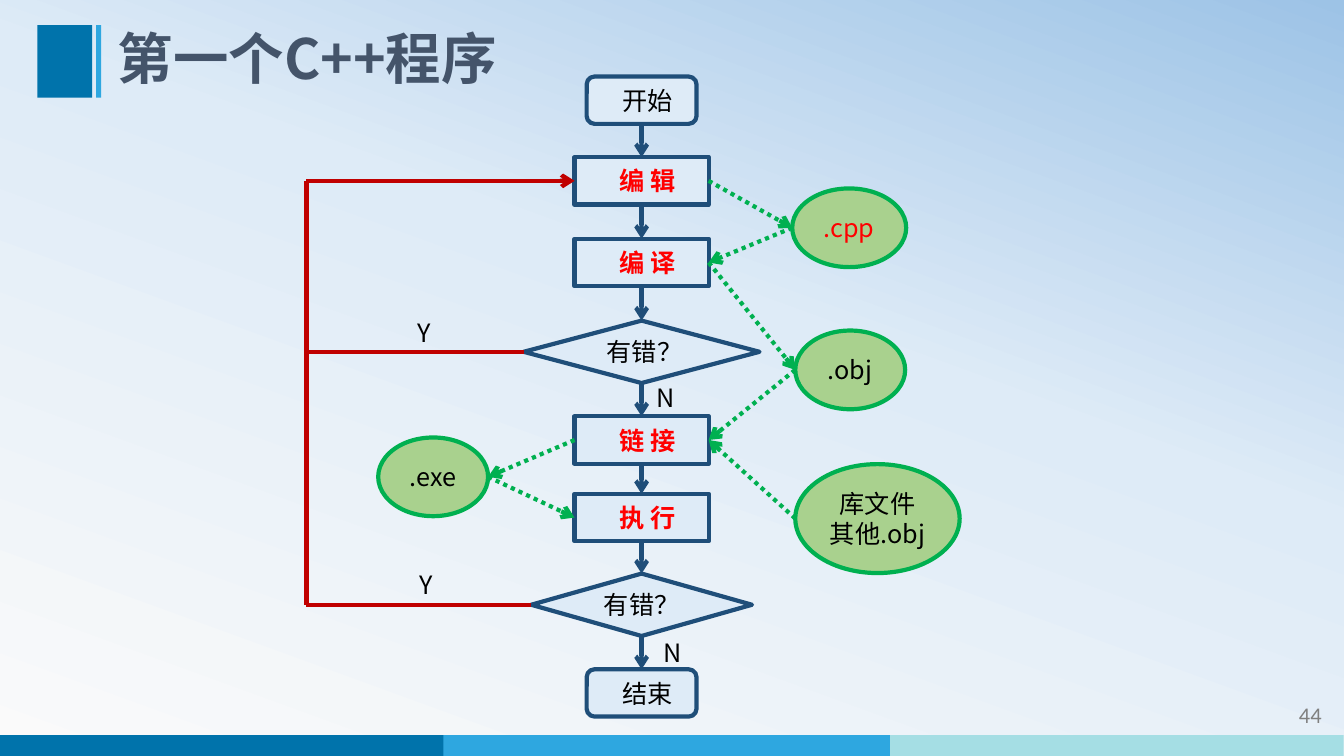
import copy
from dataclasses import dataclass

import lxml.etree
import pptx
import pptx.dml.color
import pptx.enum.dml
import pptx.enum.shapes
import pptx.enum.text
import pptx.oxml.ns
import pptx.util

Pt = pptx.util.Pt
Geometry = pptx.enum.shapes.MSO_SHAPE
Align = pptx.enum.text.PP_ALIGN
Anchor = pptx.enum.text.MSO_ANCHOR
qn = pptx.oxml.ns.qn

COLORS = {
    "deep": "0073AB", "sky": "2EA7E0", "aqua": "A5DEE4",
    "heading": "44546A", "number": "808080", "black": "000000", "red": "FF0000",
    "pale": "DEEBF7", "navy": "1F4E79", "leaf": "A9D18E", "green": "00B050",
    "loop": "C00000", "bg_low": "FAFAFA", "bg_high": "9DC3E6",
}
FONT = "Noto Sans CJK SC"
AXIS = 458.3
LOOP_X = 218.9
INSET = 7.2


@dataclass(frozen=True)
class Style:
    geometry: Geometry
    fill: str
    line: str
    text: str = "black"
    bold: bool = False
    shift: float = 0


@dataclass(frozen=True)
class Node:
    style: Style
    lines: tuple[str, ...]
    cx: float
    cy: float
    width: float
    height: float

    def side(self, name: str) -> tuple[float, float]:
        dx, dy = {"left": (-1, 0), "right": (1, 0), "top": (0, -1), "bottom": (0, 1)}[name]
        return self.cx + dx * self.width / 2, self.cy + dy * self.height / 2


@dataclass(frozen=True)
class Label:
    text: str
    left: float
    top: float


TERMINAL = Style(Geometry.FLOWCHART_ALTERNATE_PROCESS, "pale", "navy", shift=8)
STEP = Style(Geometry.FLOWCHART_PROCESS, "pale", "navy", "red", True, 8)
FIRST_CHECK = Style(Geometry.FLOWCHART_DECISION, "pale", "navy", shift=4)
SECOND_CHECK = Style(Geometry.FLOWCHART_DECISION, "pale", "navy")
FILE = Style(Geometry.OVAL, "leaf", "green")
SOURCE_FILE = Style(Geometry.OVAL, "leaf", "green", "red")

FLOW = {
    "start": Node(TERMINAL, ("开始",), AXIS, 71.6, 78.5, 33.8),
    "edit": Node(STEP, ("编 辑",), AXIS, 129.2, 95.8, 33.8),
    "compile": Node(STEP, ("编 译",), AXIS, 187.5, 95.8, 33.8),
    "compile_check": Node(FIRST_CHECK, ("有错？",), AXIS, 251.3, 168.5, 44.6),
    "link": Node(STEP, ("链 接",), AXIS, 314.3, 95.8, 33.8),
    "run": Node(STEP, ("执 行",), AXIS, 369.7, 95.8, 33.8),
    "run_check": Node(SECOND_CHECK, ("有错？",), AXIS, 432, 157.7, 44.6),
    "end": Node(TERMINAL, ("结束",), AXIS, 495, 78.5, 33.8),
}
FILES = {
    "exe": Node(FILE, (".exe",), 309.4, 340.6, 78.5, 56.2),
    "cpp": Node(SOURCE_FILE, (".cpp",), 606.6, 162.7, 81.4, 56.2),
    "obj": Node(FILE, (".obj",), 607.3, 264.2, 78.5, 56.2),
    "library": Node(FILE, ("库文件", "其他.obj"), 626.8, 370.4, 117.4, 77.8),
}
NODES = FLOW | FILES
FILE_FLOWS = (
    ("edit", "right", "cpp", "left"),
    ("cpp", "left", "compile", "right"),
    ("compile", "right", "obj", "left"),
    ("obj", "left", "link", "right"),
    ("library", "left", "link", "right"),
    ("link", "left", "exe", "right"),
    ("exe", "right", "run", "left"),
)
ANSWERS = (
    Label("Y", 290.9, 223.2), Label("Y", 292.3, 403.2),
    Label("N", 462.2, 269.3), Label("N", 466.6, 451.4),
)


def rgb(name: str) -> pptx.dml.color.RGBColor:
    return pptx.dml.color.RGBColor.from_string(COLORS[name])


def add_run(paragraph, text: str, size: float, color: str, bold: bool = False, face: str = FONT) -> None:
    run = paragraph.add_run()
    run.text = text
    run.font.size = Pt(size)
    run.font.bold = bold
    run.font.color.rgb = rgb(color)
    run.font.name = face
    lxml.etree.SubElement(run.font._element, qn("a:ea")).set("typeface", face)


def paint_background(slide) -> None:
    fill = slide.background.fill
    fill.gradient()
    fill.gradient_angle = 70
    stop_list = slide.element.find(".//" + qn("a:gsLst"))
    stop_list.append(copy.deepcopy(stop_list[-1]))
    shades = (("bg_low", 0), ("pale", 0.58), ("bg_high", 1))
    for stop, (color, position) in zip(fill.gradient_stops, shades):
        stop.color.rgb = rgb(color)
        stop.position = position


def add_block(slide, left: float, top: float, width: float, height: float, color: str) -> None:
    block = slide.shapes.add_shape(Geometry.RECTANGLE, Pt(left), Pt(top), Pt(width), Pt(height))
    block.shadow.inherit = False
    block.fill.solid()
    block.fill.fore_color.rgb = rgb(color)
    block.line.fill.background()


def add_node(slide, node: Node) -> None:
    style = node.style
    left, top = node.side("left")[0], node.side("top")[1]
    symbol = slide.shapes.add_shape(style.geometry, Pt(left), Pt(top), Pt(node.width), Pt(node.height))
    symbol.shadow.inherit = False
    symbol.fill.solid()
    symbol.fill.fore_color.rgb = rgb(style.fill)
    symbol.line.color.rgb = rgb(style.line)
    symbol.line.width = Pt(3)
    frame = symbol.text_frame
    frame.word_wrap = True
    frame.vertical_anchor = Anchor.MIDDLE
    frame.margin_left = Pt(INSET + style.shift)
    paragraph = frame.paragraphs[0]
    paragraph.alignment = Align.CENTER
    for index, line in enumerate(node.lines):
        if index:
            paragraph.add_line_break()
        add_run(paragraph, line, 18, style.text, style.bold)


def add_link(slide, begin: tuple[float, float], end: tuple[float, float], color: str,
             arrow: bool = True, dotted: bool = False) -> None:
    link = slide.shapes.add_connector(
        pptx.enum.shapes.MSO_CONNECTOR.STRAIGHT, *(Pt(value) for value in begin + end))
    link.line.color.rgb = rgb(color)
    link.line.width = Pt(3)
    if dotted:
        link.line.dash_style = pptx.enum.dml.MSO_LINE.ROUND_DOT
    properties = link._element.spPr
    if arrow:
        lxml.etree.SubElement(properties.find(qn("a:ln")), qn("a:tailEnd")).set("type", "arrow")
    lxml.etree.SubElement(properties, qn("a:effectLst"))


def add_caption(slide, left: float, top: float, width: float):
    caption = slide.shapes.add_textbox(Pt(left), Pt(top), Pt(width), Pt(28.8))
    caption.text_frame.word_wrap = True
    return caption.text_frame.paragraphs[0]


def add_heading(slide) -> None:
    heading = slide.shapes.title
    heading.left, heading.top, heading.width, heading.height = Pt(77), Pt(18), Pt(782), Pt(51.8)
    frame = heading.text_frame
    frame.auto_size = pptx.enum.text.MSO_AUTO_SIZE.NONE
    frame.word_wrap = True
    frame.vertical_anchor = Anchor.MIDDLE
    paragraph = frame.paragraphs[0]
    paragraph.alignment = Align.LEFT
    paragraph.line_spacing = 0.9
    add_run(paragraph, "第一个C++程序", 39.6, "heading", True)


def main() -> None:
    deck = pptx.Presentation()
    deck.slide_width, deck.slide_height = Pt(960), Pt(540)
    slide = deck.slides.add_slide(deck.slide_layouts[5])
    paint_background(slide)
    for index, color in enumerate(("deep", "sky", "aqua")):
        add_block(slide, 319 * index - 2.2, 525, 324, 15, color)
    add_block(slide, 26.8, 18, 39, 51.8, "deep")
    add_block(slide, 68.6, 18, 3.6, 51.8, "sky")
    add_heading(slide)
    page = add_caption(slide, 836.6, 497.5, 114.5)
    page.alignment = Align.RIGHT
    add_run(page, "44", 16, "number", face="Calibri")

    for node in NODES.values():
        add_node(slide, node)
    steps = list(FLOW.values())
    for upper, lower in zip(steps, steps[1:]):
        add_link(slide, upper.side("bottom"), lower.side("top"), "navy")
    for check in (FLOW["compile_check"], FLOW["run_check"]):
        add_link(slide, check.side("left"), (LOOP_X, check.cy), "loop", arrow=False)
    loop_top = (LOOP_X, FLOW["edit"].cy)
    add_link(slide, (LOOP_X, FLOW["run_check"].cy), loop_top, "loop", arrow=False)
    add_link(slide, loop_top, FLOW["edit"].side("left"), "loop")
    for origin, exit_side, target, entry_side in FILE_FLOWS:
        add_link(slide, NODES[origin].side(exit_side), NODES[target].side(entry_side), "green", dotted=True)
    for answer in ANSWERS:
        add_run(add_caption(slide, answer.left, answer.top, 39.6), answer.text, 18, "black")
    deck.save("out.pptx")


if __name__ == "__main__":
    main()
